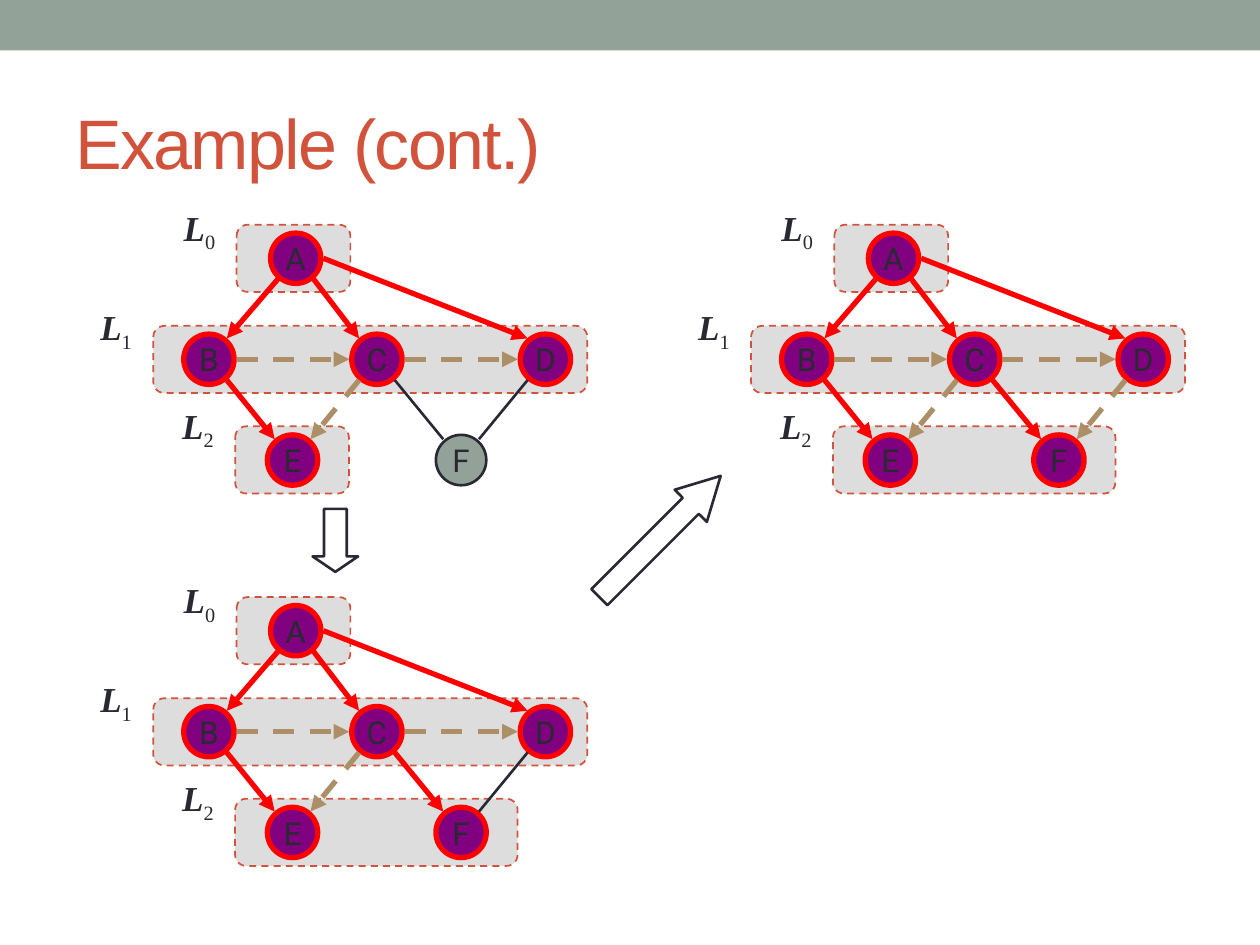
from dataclasses import dataclass

from lxml.etree import SubElement
from pptx import Presentation
from pptx.dml.color import RGBColor
from pptx.enum.dml import MSO_LINE
from pptx.enum.shapes import MSO_CONNECTOR, MSO_SHAPE
from pptx.enum.text import MSO_ANCHOR, MSO_AUTO_SIZE, PP_ALIGN
from pptx.oxml.ns import qn
from pptx.util import Pt


@dataclass(frozen=True)
class Theme:
    """Colours, fonts and type sizes of the slide."""
    ink: str = "292934"
    sage: str = "93A299"
    rust: str = "D2533C"
    layer: str = "DDDDDD"
    visited: str = "800080"
    discovery: str = "FF0000"
    cross: str = "AD8F67"
    title_font: str = "Arial"
    node_font: str = "Roboto"
    label_font: str = "Times New Roman"
    title_size: int = 40
    node_size: int = 18
    label_size: int = 20
    thin: float = 1.5
    thick: float = 3


THEME = Theme()
RADIUS = 14.4
SIDE_PORT = 15.8
CORNER_PORT = (10.2, 11.9)
NODES = {"A": (169, 147.6), "B": (119.4, 205.3), "C": (215.4, 205.3),
         "D": (311.7, 205.3), "E": (167.2, 262.9), "F": (263.5, 262.9)}
LAYERS = [(135.2, 128.4, 65, 114.2), (87.6, 186.2, 248, 171), (134.4, 243.6, None, 227.4)]
LAYER_HEIGHT = 38.4
COMMON_EDGES = {"AB": "discovery", "AC": "discovery", "AD": "discovery",
                "BC": "cross", "CD": "cross", "BE": "discovery", "CE": "cross"}
STEPS = [
    ((0, 0), 65, {"CF": "unexplored", "DF": "unexplored"}),
    ((0, 212.8), 161.4, {"CF": "discovery", "DF": "unexplored"}),
    ((341.6, 0), 161.4, {"CF": "discovery", "DF": "cross"}),
]


def rgb(color):
    """Turn a hex string into a colour."""
    return RGBColor.from_string(color)


def style_run(run, font, size, color):
    """Set the typeface, size and colour of a run."""
    run.font.name = font
    run.font.size = Pt(size)
    run.font.color.rgb = rgb(color)


def add_shape(slide, kind, box, fill=None, line=None, width=1):
    """Add a preset shape at a (left, top, width, height) box."""
    shape = slide.shapes.add_shape(kind, *map(Pt, box))
    shape.shadow.inherit = False
    if fill:
        shape.fill.solid()
        shape.fill.fore_color.rgb = rgb(fill)
    else:
        shape.fill.background()
    if line:
        shape.line.color.rgb = rgb(line)
        shape.line.width = Pt(width)
    else:
        shape.line.fill.background()
    return shape


def add_title(slide, text):
    """Place and format the title placeholder."""
    title = slide.shapes.title
    title.left, title.top, title.width, title.height = map(Pt, (36, 42, 648, 78))
    frame = title.text_frame
    frame.text = text
    frame.auto_size = MSO_AUTO_SIZE.NONE
    frame.vertical_anchor = MSO_ANCHOR.MIDDLE
    frame.paragraphs[0].alignment = PP_ALIGN.LEFT
    run = frame.paragraphs[0].runs[0]
    style_run(run, THEME.title_font, THEME.title_size, THEME.rust)
    run.font._element.set("spc", "-100")


def add_layer(slide, box):
    """Add the dashed panel behind one level of the graph."""
    shape = add_shape(slide, MSO_SHAPE.ROUNDED_RECTANGLE, box, THEME.layer, THEME.rust)
    shape.line.dash_style = MSO_LINE.DASH


def add_node(slide, name, center, visited):
    """Add a vertex circle with its letter."""
    x, y = center
    fill, line, width = ((THEME.visited, THEME.discovery, THEME.thick) if visited
                         else (THEME.sage, THEME.ink, THEME.thin))
    box = (x - RADIUS, y - RADIUS, 2 * RADIUS, 2 * RADIUS)
    shape = add_shape(slide, MSO_SHAPE.OVAL, box, fill, line, width)
    frame = shape.text_frame
    frame.text = name
    frame.word_wrap = False
    frame.vertical_anchor = MSO_ANCHOR.MIDDLE
    frame.paragraphs[0].alignment = PP_ALIGN.CENTER
    style_run(frame.paragraphs[0].runs[0], THEME.node_font, THEME.node_size, THEME.ink)


def edge_ends(start, end):
    """Find where an edge leaves one vertex and meets another."""
    (x1, y1), (x2, y2) = start, end
    sign = 1 if x2 > x1 else -1
    corner_x, corner_y = CORNER_PORT
    leave = (SIDE_PORT, 0) if abs(x2 - x1) > 2 * (y2 - y1) else (corner_x, corner_y)
    meet = (SIDE_PORT, 0) if y1 == y2 else (corner_x, corner_y)
    return x1 + sign * leave[0], y1 + leave[1], x2 - sign * meet[0], y2 - meet[1]


def add_edge(slide, start, end, kind):
    """Add a discovery, cross or unexplored edge."""
    points = map(Pt, edge_ends(start, end))
    edge = slide.shapes.add_connector(MSO_CONNECTOR.STRAIGHT, *points)
    colors = {"discovery": THEME.discovery, "cross": THEME.cross, "unexplored": THEME.ink}
    edge.line.color.rgb = rgb(colors[kind])
    edge.line.width = Pt(THEME.thin if kind == "unexplored" else THEME.thick)
    if kind == "cross":
        edge.line.dash_style = MSO_LINE.DASH
    properties = edge._element.spPr
    if kind != "unexplored":
        SubElement(properties.find(qn("a:ln")), qn("a:tailEnd"), type="triangle")
    SubElement(properties, qn("a:effectLst"))


def add_level_label(slide, level, left, top):
    """Add a level name with its subscript number."""
    box = slide.shapes.add_textbox(*map(Pt, (left, top, 36.7, 31)))
    frame = box.text_frame
    frame.word_wrap = True
    frame.auto_size = MSO_AUTO_SIZE.SHAPE_TO_FIT_TEXT
    paragraph = frame.paragraphs[0]
    paragraph.alignment = PP_ALIGN.CENTER
    for text in ("L", str(level)):
        run = paragraph.add_run()
        run.text = text
        style_run(run, THEME.label_font, THEME.label_size, THEME.ink)
        run.font.bold = run.font.italic = text == "L"
    run.font._element.set("baseline", "-25000")


def add_graph(slide, offset, last_width, last_edges):
    """Add one step of the breadth-first search."""
    dx, dy = offset
    centers = {name: (x + dx, y + dy) for name, (x, y) in NODES.items()}
    for left, top, width, _ in LAYERS:
        add_layer(slide, (left + dx, top + dy, width or last_width, LAYER_HEIGHT))
    for name, center in centers.items():
        add_node(slide, name, center, name != "F" or "discovery" in last_edges.values())
    for (start, end), kind in {**COMMON_EDGES, **last_edges}.items():
        add_edge(slide, centers[start], centers[end], kind)
    for level, (left, _, _, label_top) in enumerate(LAYERS):
        add_level_label(slide, level, left + dx - 39.6, label_top + dy)


def add_step_arrow(slide, box, rotation, head):
    """Add an outlined block arrow between two steps."""
    arrow = add_shape(slide, MSO_SHAPE.RIGHT_ARROW, box, line=THEME.ink, width=THEME.thin)
    arrow.adjustments[1] = head
    arrow.rotation = rotation


def main():
    """Build and save the slide."""
    presentation = Presentation()
    presentation.slide_width, presentation.slide_height = Pt(720), Pt(540)
    slide = presentation.slides.add_slide(presentation.slide_layouts[5])
    add_shape(slide, MSO_SHAPE.RECTANGLE, (0, 0, 720, 28.8), THEME.sage)
    add_title(slide, "Example (cont.)")
    for step in STEPS:
        add_graph(slide, *step)
    add_step_arrow(slide, (328.2, 293.6, 98, 26), 315, 0.93)
    add_step_arrow(slide, (173.6, 295.8, 36, 26), 90, 0.34)
    presentation.save("out.pptx")


if __name__ == "__main__":
    main()
